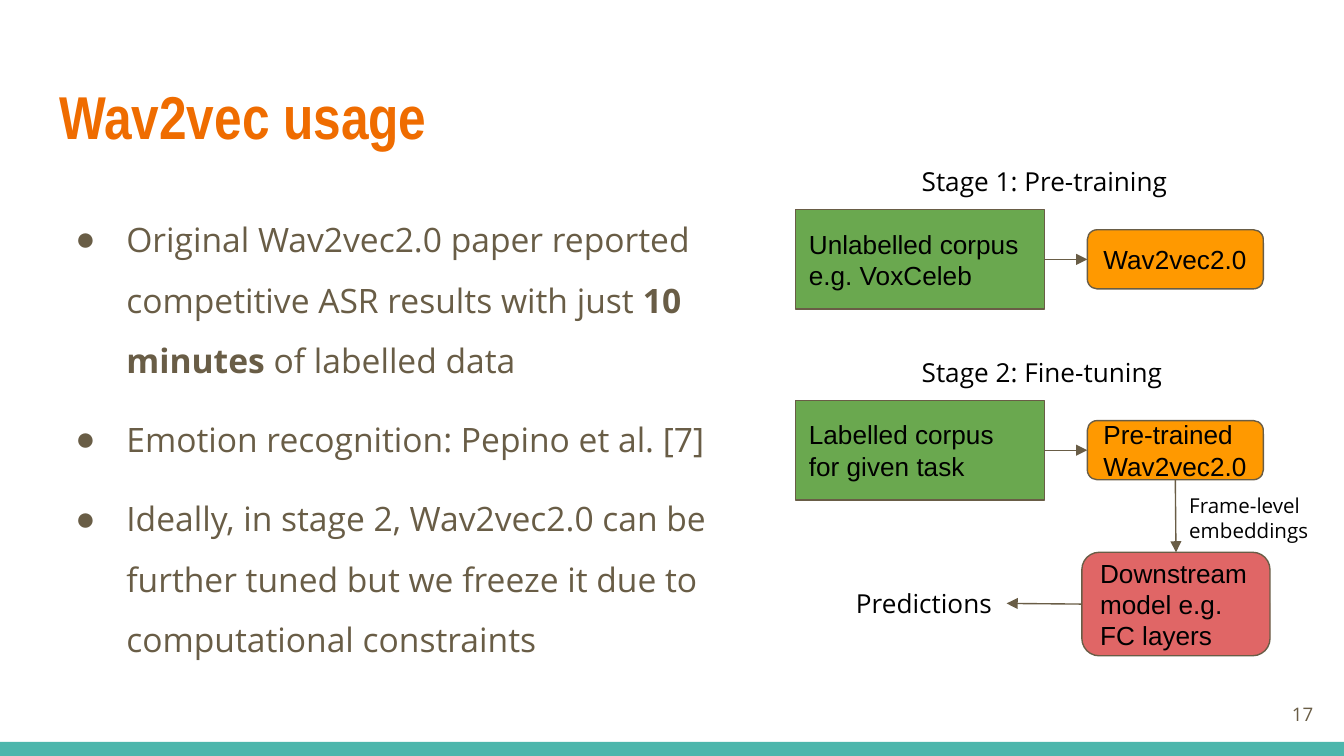
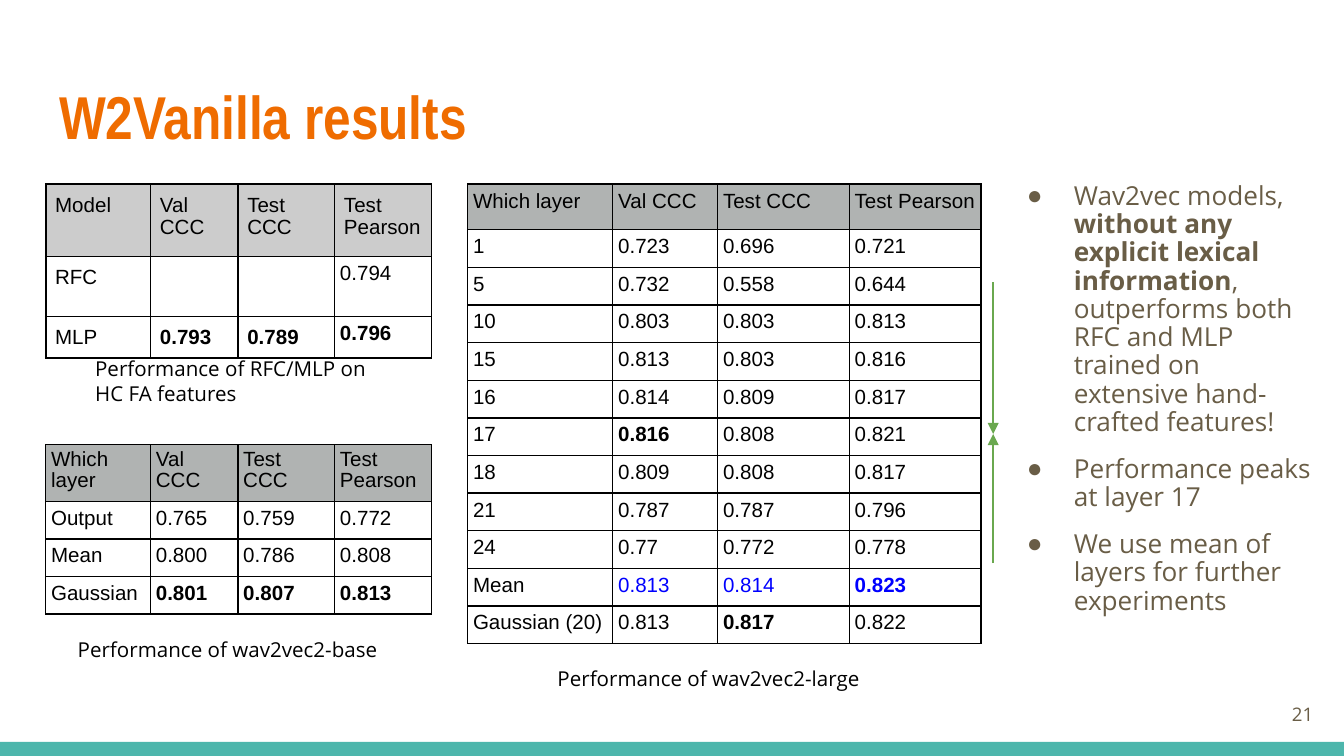
from lxml import etree
from pptx import Presentation
from pptx.dml.color import RGBColor
from pptx.enum.shapes import MSO_CONNECTOR, MSO_SHAPE
from pptx.enum.text import MSO_ANCHOR, MSO_AUTO_SIZE, PP_ALIGN
from pptx.oxml import parse_xml
from pptx.oxml.ns import nsdecls, qn
from pptx.util import Inches, Pt

RECT, ROUNDED = MSO_SHAPE.RECTANGLE, MSO_SHAPE.ROUNDED_RECTANGLE
STRAIGHT = MSO_CONNECTOR.STRAIGHT
TOP, MIDDLE = MSO_ANCHOR.TOP, MSO_ANCHOR.MIDDLE
LEFT, RIGHT = PP_ALIGN.LEFT, PP_ALIGN.RIGHT
NO_FIT, GROW = MSO_AUTO_SIZE.NONE, MSO_AUTO_SIZE.SHAPE_TO_FIT_TEXT
SITE_TOP, SITE_LEFT, SITE_BOTTOM, SITE_RIGHT = range(4)

TEAL = RGBColor(0x4D, 0xB6, 0xAC)
ORANGE = RGBColor(0xEF, 0x6C, 0x00)
BROWN = RGBColor(0x69, 0x5D, 0x46)
BLACK = RGBColor(0, 0, 0)
BLUE = RGBColor(0, 0, 0xFF)
GREEN = RGBColor(0x6A, 0xA8, 0x4F)
AMBER = RGBColor(0xFF, 0x99, 0x00)
RED = RGBColor(0xE0, 0x66, 0x66)
GREY = RGBColor(0xB0, 0xB3, 0xB2)
LIGHT_GREY = RGBColor(0xCC, 0xCC, 0xCC)

TITLE_FONT, BODY_FONT, SHAPE_FONT = "Arial Narrow", "Open Sans", "Arial"


# Shared helpers
def place(shape, box):
    shape.left, shape.top, shape.width, shape.height = (Inches(n) for n in box)


def style(span, name, size, color, bold=False):
    span.font.name, span.font.size, span.font.bold = name, Pt(size), bold
    span.font.color.rgb = color


def prepare_frame(frame, anchor=TOP, fit=NO_FIT):
    frame.word_wrap = True
    frame.auto_size = fit
    frame.vertical_anchor = anchor
    frame.margin_left = frame.margin_right = Inches(0.1)
    frame.margin_top = frame.margin_bottom = Inches(0.1)


def fill_text(frame, text, name, size, color, align=LEFT, bold=False):
    frame.text = text
    for para in frame.paragraphs:
        para.alignment = align
        for span in para.runs:
            style(span, name, size, color, bold)


def add_label(page, box, text, size=14, color=BLACK, align=LEFT, anchor=TOP, fit=GROW):
    label = page.shapes.add_textbox(*(Inches(n) for n in box))
    prepare_frame(label.text_frame, anchor, fit)
    fill_text(label.text_frame, text, BODY_FONT, size, color, align)
    return label


def add_block(page, kind, box, text, color):
    block = page.shapes.add_shape(kind, *(Inches(n) for n in box))
    block.shadow.inherit = False
    block.fill.solid()
    block.fill.fore_color.rgb = color
    block.line.color.rgb = BROWN
    block.line.width = Pt(0.75)
    prepare_frame(block.text_frame, MIDDLE)
    fill_text(block.text_frame, text, SHAPE_FONT, 14, BLACK)
    return block


def add_arrow(page, color, start=(0, 0), end=(0, 0)):
    arrow = page.shapes.add_connector(STRAIGHT, *(Inches(n) for n in start + end))
    arrow.line.color.rgb = color
    arrow.line.width = Pt(0.75)
    etree.SubElement(arrow.line._get_or_add_ln(), qn("a:tailEnd"), type="triangle")
    etree.SubElement(arrow._element.spPr, qn("a:effectLst"))
    return arrow


def join(page, source, source_site, target, target_site):
    arrow = add_arrow(page, BROWN)
    arrow.begin_connect(source, source_site)
    arrow.end_connect(target, target_site)


def add_page(deck, title, number):
    """Start a page with its title, bottom band and page number."""
    page = deck.slides.add_slide(deck.slide_layouts[1])
    band = page.shapes.add_shape(RECT, 0, Inches(5.52), Inches(10), Inches(0.11))
    band.shadow.inherit = False
    band.fill.solid()
    band.fill.fore_color.rgb = TEAL
    band.line.fill.background()

    heading = page.shapes.title
    place(heading, (0.34, 0.49, 9.32, 0.77))
    prepare_frame(heading.text_frame)
    fill_text(heading.text_frame, title, TITLE_FONT, 32.4, ORANGE, bold=True)
    add_label(page, (9.27, 5.1, 0.6, 0.43), str(number), 10, BROWN, RIGHT, MIDDLE, NO_FIT)
    return page


def fill_bullets(page, box, items, size, spacing, hanging):
    """Each item is a list of spans; every second span is bold."""
    body = page.placeholders[1]
    place(body, box)
    frame = body.text_frame
    prepare_frame(frame)
    for index, spans in enumerate(items):
        para = frame.paragraphs[0] if index == 0 else frame.add_paragraph()
        para.alignment = LEFT
        para.line_spacing = spacing
        para.space_before = Pt(10 if index else 0)
        para.space_after = Pt(10 if index == len(items) - 1 else 0)
        props = para._p.get_or_add_pPr()
        props.set("marL", str(Inches(0.5)))
        props.set("indent", str(-Inches(hanging)))
        color = etree.SubElement(props, qn("a:buClr"))
        etree.SubElement(color, qn("a:srgbClr"), val=str(BROWN))
        etree.SubElement(props, qn("a:buFont"), typeface=SHAPE_FONT)
        etree.SubElement(props, qn("a:buChar"), char="●")
        for position, text in enumerate(spans):
            span = para.add_run()
            span.text = text
            style(span, BODY_FONT, size, BROWN, position % 2 == 1)


# Tables
def add_borders(cell, width):
    props = cell._tc.get_or_add_tcPr()
    for side in "LRTB":
        props.append(parse_xml(
            f'<a:ln{side} {nsdecls("a")} w="{Pt(width)}"><a:solidFill>'
            f'<a:srgbClr val="{BLACK}"/></a:solidFill></a:ln{side}>'))


def add_results(page, corner, widths, heights, rows, header_fill, bold=(), blue=(),
                border=0.83, margin=0.04, tight=(), header_spacing=1.0):
    """bold, blue and tight hold (row, column) pairs; tight cells have narrow margins."""
    box = (*corner, sum(widths), sum(heights))
    table = page.shapes.add_table(len(rows), len(widths), *(Inches(n) for n in box)).table
    table.horz_banding = False
    for column, width in zip(table.columns, widths):
        column.width = Inches(width)
    for row, height in zip(table.rows, heights):
        row.height = Inches(height)
    for r, values in enumerate(rows):
        for c, value in enumerate(values):
            cell = table.cell(r, c)
            gap = Inches(0.04 if (r, c) in tight else margin)
            cell.margin_left = cell.margin_right = gap
            cell.margin_top = cell.margin_bottom = gap
            add_borders(cell, border)
            if r == 0:
                cell.fill.solid()
                cell.fill.fore_color.rgb = header_fill
            else:
                cell.fill.background()
            if value:
                color = BLUE if (r, c) in blue else BLACK
                fill_text(cell.text_frame, value, SHAPE_FONT, 11, color, bold=(r, c) in bold)
                if r == 0:
                    cell.text_frame.paragraphs[0].line_spacing = header_spacing


# Usage page
def add_stage(page, left, top, caption, corpus, model):
    """Caption above a corpus block that feeds a model block; returns the model."""
    source = add_block(page, RECT, (left, top + 0.43, 1.85, 0.74), corpus, GREEN)
    target = add_block(page, ROUNDED, (left + 2.17, top + 0.58, 1.31, 0.44), model, AMBER)
    add_label(page, (left + 0.84, top, 2.4, 0.44), caption)
    join(page, source, SITE_RIGHT, target, SITE_LEFT)
    return target


def build_usage(deck):
    page = add_page(deck, "Wav2vec usage", 17)
    fill_bullets(page, (0.34, 1.38, 5.36, 3.62), [
        ["Original Wav2vec2.0 paper reported competitive ASR results with just ",
         "10 minutes", " of labelled data"],
        ["Emotion recognition: Pepino et al. [7]"],
        ["Ideally, in stage 2, Wav2vec2.0 can be further tuned but we freeze it "
         "due to computational constraints"],
    ], 18, 1.5, 0.38)

    add_stage(page, 5.92, 1.13, "Stage 1: Pre-training",
              "Unlabelled corpus e.g. VoxCeleb", "Wav2vec2.0")
    tuned = add_stage(page, 5.92, 2.55, "Stage 2: Fine-tuning",
                      "Labelled corpus for given task", "Pre-trained Wav2vec2.0")
    downstream = add_block(page, ROUNDED, (8.05, 4.11, 1.4, 0.77),
                           "Downstream model e.g. FC layers", RED)
    predictions = add_label(page, (6.27, 4.27, 1.22, 0.44), "Predictions")
    join(page, tuned, SITE_BOTTOM, downstream, SITE_TOP)
    join(page, downstream, SITE_LEFT, predictions, SITE_RIGHT)
    add_label(page, (8.75, 3.57, 1.12, 0.57), "Frame-level embeddings", 11)


# Results page
def build_results(deck):
    page = add_page(deck, "W2Vanilla results", 21)
    metrics = ["Val CCC", "Test CCC", "Test Pearson"]
    narrow = [0.78, 0.65, 0.72, 0.72]

    add_results(page, (0.34, 3.31), narrow, [0.42] + [0.28] * 3, [
        ["Which layer", *metrics],
        ["Output", "0.765", "0.759", "0.772"],
        ["Mean", "0.800", "0.786", "0.808"],
        ["Gaussian", "0.801", "0.807", "0.813"],
    ], GREY, bold={(3, 1), (3, 2), (3, 3)}, header_spacing=0.9)
    add_results(page, (3.48, 1.37), [1.08, 0.78, 0.98, 0.98], [0.34] + [0.28] * 11, [
        ["Which layer", *metrics],
        ["1", "0.723", "0.696", "0.721"],
        ["5", "0.732", "0.558", "0.644"],
        ["10", "0.803", "0.803", "0.813"],
        ["15", "0.813", "0.803", "0.816"],
        ["16", "0.814", "0.809", "0.817"],
        ["17", "0.816", "0.808", "0.821"],
        ["18", "0.809", "0.808", "0.817"],
        ["21", "0.787", "0.787", "0.796"],
        ["24", "0.77", "0.772", "0.778"],
        ["Mean", "0.813", "0.814", "0.823"],
        ["Gaussian (20)", "0.813", "0.817", "0.822"],
    ], GREY, bold={(6, 1), (10, 3), (11, 2)}, blue={(10, 1), (10, 2), (10, 3)})
    add_results(page, (0.34, 1.37), narrow, [0.54, 0.44, 0.31], [
        ["Model", *metrics],
        ["RFC", "", "", "0.794"],
        ["MLP", "0.793", "0.789", "0.796"],
    ], LIGHT_GREY, bold={(2, 1), (2, 2), (2, 3)}, border=1, margin=0.07,
        tight={(1, 3), (2, 3)})

    for box, caption in [
        ((0.48, 4.65, 2.6, 0.39), "Performance of wav2vec2-base"),
        ((4.05, 4.86, 2.6, 0.39), "Performance of wav2vec2-large"),
        ((0.61, 2.55, 2.34, 0.57), "Performance of RFC/MLP on\nHC FA features"),
    ]:
        add_label(page, box, caption, 11)

    fill_bullets(page, (7.39, 1.26, 2.47, 3.93), [
        ["Wav2vec models, ", "without any explicit lexical information",
         ", outperforms both RFC and MLP trained on extensive hand-crafted features!"],
        ["Performance peaks at layer 17"],
        ["We use mean of layers for further experiments"],
    ], 14, 0.9, 0.35)

    # Arrows that meet at the best layer
    for start in (2.1, 4.19):
        add_arrow(page, GREEN, (7.39, start), (7.39, 3.23))


def main():
    deck = Presentation()
    # Widescreen, 16:9
    deck.slide_width = Inches(10)
    deck.slide_height = deck.slide_width * 9 // 16
    build_usage(deck)
    build_results(deck)
    deck.save("out.pptx")


if __name__ == "__main__":
    main()
